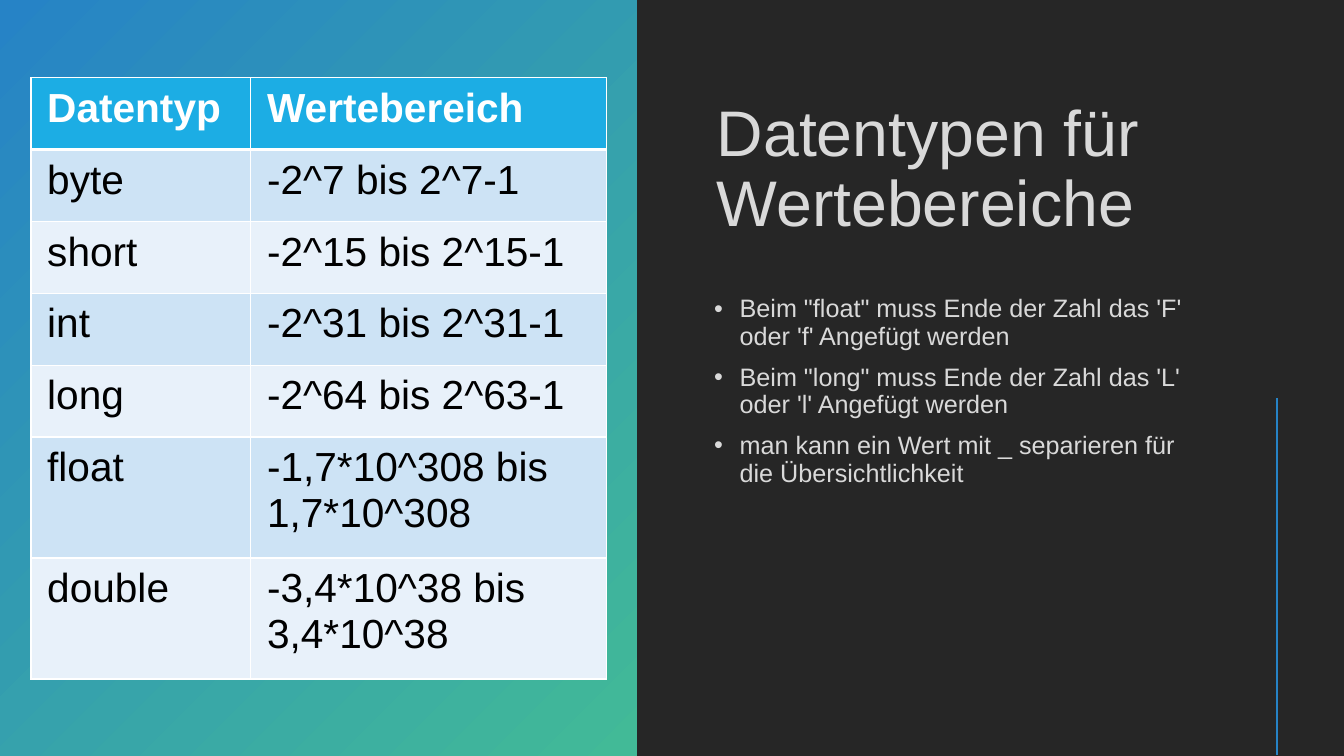
from lxml.etree import SubElement
from pptx import Presentation
from pptx.dml.color import RGBColor
from pptx.enum.shapes import MSO_CONNECTOR, MSO_SHAPE
from pptx.enum.text import MSO_ANCHOR, MSO_AUTO_SIZE, PP_ALIGN
from pptx.oxml import parse_xml
from pptx.oxml.ns import nsdecls, qn
from pptx.util import Cm, Pt

BLUE, GREEN, DARK, LIGHT = "2683C6", "42BA97", "262626", "D9D9D9"
HEADER, BANDS = "1CADE4", ("E8F1FA", "CDE3F5")
TITLE = "Datentypen für Wertebereiche"
POINTS = [
    "Beim \"float\" muss Ende der Zahl das 'F' oder 'f' Angefügt werden",
    "Beim \"long\" muss Ende der Zahl das 'L' oder 'l' Angefügt werden",
    "man kann ein Wert mit _ separieren für die Übersichtlichkeit",
]
ROWS = [
    ("Datentyp", "Wertebereich"),
    ("byte", "-2^7 bis 2^7-1"),
    ("short", "-2^15 bis 2^15-1"),
    ("int", "-2^31 bis 2^31-1"),
    ("long", "-2^64 bis 2^63-1"),
    ("float", "-1,7*10^308 bis 1,7*10^308"),
    ("double", "-3,4*10^38 bis 3,4*10^38"),
]
COLUMN_WIDTHS = (5.54, 8.97)
ROW_HEIGHTS = [1.81] * 5 + [3.05] * 2


def color(value):
    return RGBColor.from_string(value)


def apply(target, values):
    for name, value in values.items():
        setattr(target, name, value)


def write(para, text, size, ink, bold=False):
    span = para.add_run()
    span.text = text
    apply(span.font, {"name": "Arial", "size": Pt(size), "bold": bold})
    span.font.color.rgb = color(ink)


def add_panel(page, left, top, width, height):
    panel = page.shapes.add_shape(
        MSO_SHAPE.RECTANGLE, Cm(left), Cm(top), Cm(width), Cm(height)
    )
    panel.shadow.inherit = False
    panel.line.fill.background()
    panel.fill.gradient()
    panel.fill.gradient_angle = 315
    for stop, value, position in zip(panel.fill.gradient_stops, (BLUE, GREEN), (0, 1)):
        stop.color.rgb = color(value)
        stop.position = position


def add_title(page, left, top, width, height):
    title = page.shapes.title
    apply(title, {"left": Cm(left), "top": Cm(top), "width": Cm(width), "height": Cm(height)})
    apply(title.text_frame, {
        "word_wrap": True,
        "auto_size": MSO_AUTO_SIZE.NONE,
        "vertical_anchor": MSO_ANCHOR.BOTTOM,
    })
    para = title.text_frame.paragraphs[0]
    apply(para, {"alignment": PP_ALIGN.LEFT, "line_spacing": 0.9})
    write(para, TITLE, 46, LIGHT)


def add_points(page, left, top, width, height):
    box = page.shapes.add_textbox(Cm(left), Cm(top), Cm(width), Cm(height))
    frame = box.text_frame
    frame.word_wrap = True
    for index, text in enumerate(POINTS):
        para = frame.add_paragraph() if index else frame.paragraphs[0]
        apply(para, {"line_spacing": 0.9, "space_before": Pt(10)})
        write(para, text, 18, LIGHT)
        properties = para._p.get_or_add_pPr()
        properties.set("marL", str(Cm(0.64)))
        properties.set("indent", str(-Cm(0.64)))
        SubElement(properties, qn("a:buFont")).set("typeface", "Arial")
        SubElement(properties, qn("a:buChar")).set("char", "•")


def set_borders(cell, row):
    weights = {"L": 1, "R": 1, "T": 3 if row == 1 else 1, "B": 3 if row == 0 else 1}
    properties = cell._tc.get_or_add_tcPr()
    for index, (side, weight) in enumerate(weights.items()):
        border = parse_xml(
            f'<a:ln{side} {nsdecls("a")} w="{Pt(weight)}"><a:solidFill>'
            f'<a:srgbClr val="FFFFFF"/></a:solidFill></a:ln{side}>'
        )
        properties.insert(index, border)


def add_ranges(page, left, top):
    table = page.shapes.add_table(
        len(ROWS), len(COLUMN_WIDTHS), Cm(left), Cm(top),
        Cm(sum(COLUMN_WIDTHS)), Cm(sum(ROW_HEIGHTS)),
    ).table
    for column, width in zip(table.columns, COLUMN_WIDTHS):
        column.width = Cm(width)
    for row, (texts, height) in enumerate(zip(ROWS, ROW_HEIGHTS)):
        table.rows[row].height = Cm(height)
        header = row == 0
        for column, text in enumerate(texts):
            cell = table.cell(row, column)
            apply(cell, {
                "margin_left": Cm(0.41), "margin_right": Cm(0.41),
                "margin_top": Cm(0.2), "margin_bottom": Cm(0.2),
            })
            cell.fill.solid()
            cell.fill.fore_color.rgb = color(HEADER if header else BANDS[row % 2])
            write(cell.text_frame.paragraphs[0], text, 29,
                  "FFFFFF" if header else "000000", header)
            set_borders(cell, row)


def add_accent(page, left, top, bottom):
    accent = page.shapes.add_connector(
        MSO_CONNECTOR.STRAIGHT, Cm(left), Cm(top), Cm(left), Cm(bottom)
    )
    accent.line.color.rgb = color(BLUE)
    accent.line.width = Pt(2)
    SubElement(accent._element.spPr, qn("a:effectLst"))


def main():
    deck = Presentation()
    apply(deck, {"slide_width": Cm(33.87), "slide_height": Cm(19.05)})
    page = deck.slides.add_slide(deck.slide_layouts[5])
    page.background.fill.solid()
    page.background.fill.fore_color.rgb = color(DARK)
    add_title(page, 17.81, 1.4, 12.22, 4.78)
    add_panel(page, 0, 0, 16.05, 19.05)
    add_points(page, 17.75, 7.34, 12.32, 10.31)
    add_accent(page, 32.18, 10.03, 19.02)
    add_ranges(page, 0.78, 1.96)
    deck.save("out.pptx")


if __name__ == "__main__":
    main()
